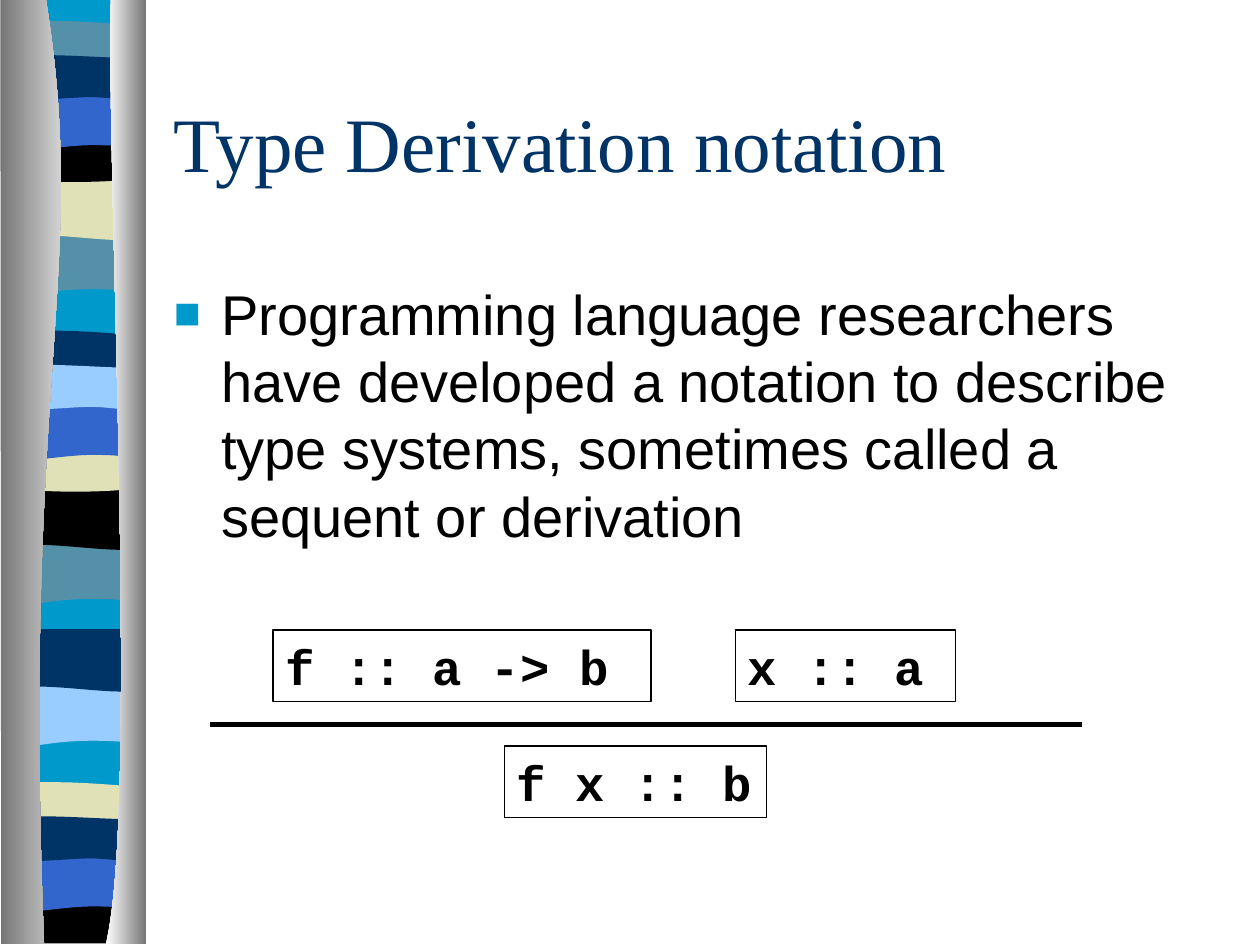
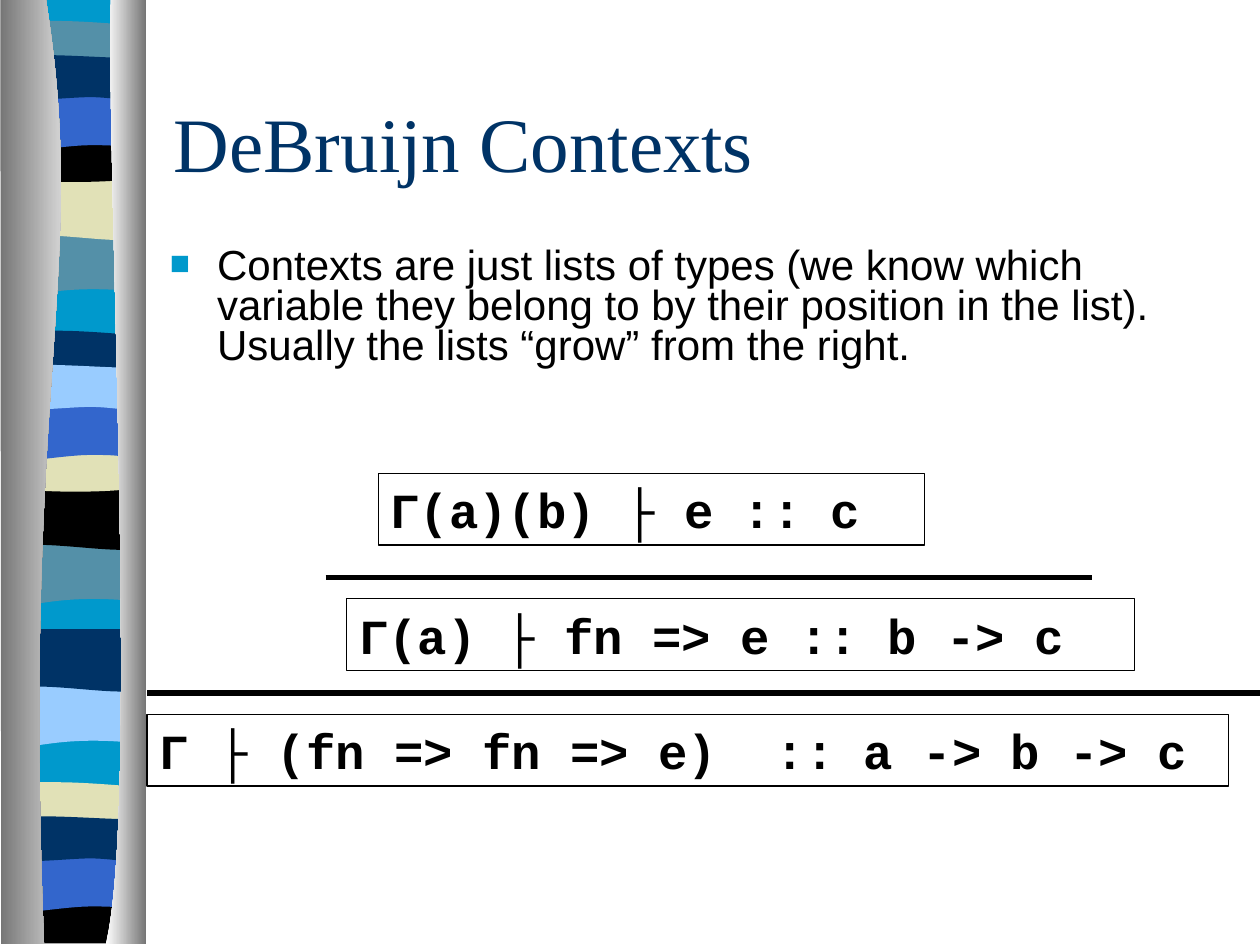
import dataclasses

import lxml.etree
import pptx
import pptx.dml.color
import pptx.enum.shapes
import pptx.enum.text
import pptx.oxml.ns
import pptx.util

Pt = pptx.util.Pt
qn = pptx.oxml.ns.qn


@dataclasses.dataclass(frozen=True)
class Theme:
    cyan: str = "0099CC"
    teal: str = "5490A8"
    sand: str = "E1E1B7"
    black: str = "000000"
    blue: str = "3366CC"
    navy: str = "003366"
    sky: str = "99CCFF"
    shade: str = "767676"
    white: str = "FFFFFF"
    title_font: str = "Times New Roman"
    body_font: str = "Arial"
    code_font: str = "Courier New"
    title_size: float = 44
    code_size: float = 28
    rule_weight: float = 3
    box_weight: float = 0.75


THEME = Theme()
SLIDE_WIDTH, SLIDE_HEIGHT = 720, 540
RIBBON_LEFT, RIBBON_TOP, RIBBON_WIDTH = 4.2, -0.5, 78
FORMULA_HEIGHT = 41
RULE_TO_CONCLUSION = 12.24

# Outlines start at the top right corner of a stripe.
# Two numbers make a line to a point, six make a cubic curve.
STRIPE_OUTLINES = {
    "swoop": [(78, 34), (24, 28, 13, 40, 0, 34), (0, 0)],
    "roll": [(78, 34), (65, 39.5, 24, 29.5, 0, 34), (0, 0)],
    "thin": [(78, 17), (65, 20, 13, 20, 0, 17), (0, 0),
             (4, -3.5, 17, -3, 30, -3), (43, -3, 68, -1, 78, 0)],
    "hollow": [(78, 23.5), (65, 27.5, 13, 27.5, 0, 23.5), (0, 0),
               (48, 3.6, 61, 0, 78, 0)],
    "foot": [(78, 26.5), (0, 26.5), (0, 0), (48, 3.6, 61, 0, 78, 0)],
    "arch": [(78, 34), (66, 30, 60.5, 30, 47.5, 30),
             (34.5, 30, 11.5, 34, 0, 34), (0, 0)],
    "crest": [(78, 22.5), (73, 26, 60.5, 22.5, 47.5, 22.5),
              (34.5, 22.5, 8, 26, 0, 22.5), (0, 0),
              (11, -3.5, 52.5, 0, 65.5, 0), (78.5, 0, 75, 0, 78, 0)],
}
STRIPE_TOPS = {"swoop": 133.5, "roll": 102, "thin": 15.5, "hollow": 78,
               "foot": 78, "arch": 53.5, "crest": 33.5}
# The stripe pattern repeats at these heights with other colours.
RIBBON_SECTIONS = [
    (0, {"swoop": THEME.teal, "roll": THEME.sand, "thin": THEME.teal,
         "hollow": THEME.black, "arch": THEME.blue, "crest": THEME.navy}),
    (177, {"swoop": THEME.teal, "roll": THEME.black, "thin": THEME.navy,
           "hollow": THEME.sand, "arch": THEME.blue, "crest": THEME.sky}),
    (258, {"swoop": THEME.sky, "roll": THEME.navy}),
    (435, {"thin": THEME.sand, "foot": THEME.black, "arch": THEME.blue,
           "crest": THEME.navy}),
]
LEFT_COLUMN = [(51, 156, 12, 213, 25, 540), (0.5, 540), (0, 0)]
RIGHT_COLUMN = [(-3, 90, 16.5, 465, -3, 540), (20, 540), (20, 0)]


def rgb(colour):
    return pptx.dml.color.RGBColor.from_string(colour)


def set_attributes(target, values):
    for name, value in values.items():
        setattr(target, name, value)


def bend_lines(shape, steps):
    """Join the three lines drawn for each six-number step into a curve."""
    lines = iter(list(shape._element.iter(qn("a:lnTo"))))
    for step in steps:
        line = next(lines)
        if len(step) == 2:
            continue
        curve = lxml.etree.Element(qn("a:cubicBezTo"))
        line.addprevious(curve)
        for control in (line, next(lines), next(lines)):
            curve.append(control[0])
            control.getparent().remove(control)


def add_outline(slide, left, top, start, steps):
    points = [start]
    for step in steps:
        points.extend(zip(step[::2], step[1::2]))
    points = [(Pt(left + x), Pt(top + y)) for x, y in points]
    builder = slide.shapes.build_freeform(*points[0])
    builder.add_line_segments(points[1:], close=True)
    shape = builder.convert_to_shape()
    bend_lines(shape, steps)
    shape.shadow.inherit = False
    shape.line.fill.background()
    return shape


def fill_solid(shape, colour):
    shape.fill.solid()
    shape.fill.fore_color.rgb = rgb(colour)


def fill_across(shape, colours):
    """Fill with a gradient running from left to right."""
    shape.fill.gradient()
    shape.fill.gradient_angle = 0
    for stop, colour in zip(shape.fill.gradient_stops, colours):
        stop.color.rgb = rgb(colour)


def add_ribbon(slide, left, top):
    base = add_outline(slide, left, top, (RIBBON_WIDTH, 0),
                       [(RIBBON_WIDTH, 538.5), (0, 538.5), (0, 0)])
    fill_solid(base, THEME.cyan)
    for section_top, colours in RIBBON_SECTIONS:
        for name, colour in colours.items():
            stripe = add_outline(
                slide, left, top + section_top + STRIPE_TOPS[name],
                (RIBBON_WIDTH, 0), STRIPE_OUTLINES[name])
            fill_solid(stripe, colour)
    left_column = add_outline(slide, left - 4, top, (26, 0), LEFT_COLUMN)
    fill_across(left_column, (THEME.shade, THEME.white))
    right_column = add_outline(slide, left + 59.2, top, (0, 0), RIGHT_COLUMN)
    fill_across(right_column, (THEME.white, THEME.shade))


def move_shapes_to_layout(slide):
    """Make the shapes on the slide the background of its layout."""
    layout = slide.slide_layout
    for placeholder in list(layout.placeholders):
        layout.shapes._spTree.remove(placeholder._element)
    for shape in list(slide.shapes):
        layout.shapes._spTree.append(shape._element)


def write_text(shape, text, anchor, font, size, colour, bold=False):
    set_attributes(shape.text_frame, {
        "word_wrap": True, "vertical_anchor": anchor,
        "margin_left": Pt(7.2), "margin_right": Pt(7.2),
        "margin_top": Pt(3.6), "margin_bottom": Pt(3.6)})
    paragraph = shape.text_frame.paragraphs[0]
    paragraph.alignment = pptx.enum.text.PP_ALIGN.LEFT
    run = paragraph.add_run()
    run.text = text
    set_attributes(run.font, {"name": font, "size": Pt(size), "bold": bold})
    run.font.color.rgb = rgb(colour)
    return paragraph


def add_title(slide, left, top, width, height, text):
    shape = slide.shapes.add_textbox(Pt(left), Pt(top), Pt(width), Pt(height))
    write_text(shape, text, pptx.enum.text.MSO_ANCHOR.MIDDLE,
               THEME.title_font, THEME.title_size, THEME.navy)


def add_square_bullet(paragraph):
    properties = paragraph._p.get_or_add_pPr()
    properties.set("marL", str(Pt(27)))
    properties.set("indent", str(Pt(-27)))

    def add_element(parent, tag, **attributes):
        return lxml.etree.SubElement(parent, qn(tag), attributes)

    bullet_colour = add_element(properties, "a:buClr")
    add_element(bullet_colour, "a:srgbClr", val=THEME.cyan)
    add_element(properties, "a:buSzPct", val="80000")
    add_element(properties, "a:buFont", typeface=THEME.body_font)
    add_element(properties, "a:buChar", char="■")


def add_body(slide, left, top, width, height, text, size, line_spacing=1.0):
    shape = slide.shapes.add_textbox(Pt(left), Pt(top), Pt(width), Pt(height))
    paragraph = write_text(shape, text, pptx.enum.text.MSO_ANCHOR.TOP,
                           THEME.body_font, size, THEME.black)
    add_square_bullet(paragraph)
    paragraph.line_spacing = line_spacing


def add_formula(slide, left, top, width, text):
    shape = slide.shapes.add_shape(
        pptx.enum.shapes.MSO_SHAPE.RECTANGLE,
        Pt(left), Pt(top), Pt(width), Pt(FORMULA_HEIGHT))
    shape.shadow.inherit = False
    shape.fill.background()
    shape.line.color.rgb = rgb(THEME.black)
    shape.line.width = Pt(THEME.box_weight)
    write_text(shape, text, pptx.enum.text.MSO_ANCHOR.TOP, THEME.code_font,
               THEME.code_size, THEME.black, bold=True)


def add_inference(slide, left, top, width, indent, formula_width, conclusion):
    """Draw the inference rule with its conclusion below it."""
    rule = slide.shapes.add_connector(
        pptx.enum.shapes.MSO_CONNECTOR.STRAIGHT,
        Pt(left), Pt(top), Pt(left + width), Pt(top))
    rule.line.color.rgb = rgb(THEME.black)
    rule.line.width = Pt(THEME.rule_weight)
    lxml.etree.SubElement(rule._element.spPr, qn("a:effectLst"))
    add_formula(slide, left + indent, top + RULE_TO_CONCLUSION,
                formula_width, conclusion)


def add_application_rule(slide, left, top):
    add_formula(slide, left + 36, top, 216, "f :: a -> b")
    add_formula(slide, left + 300, top, 126, "x :: a")
    add_inference(slide, left, top + 54, 498, 168, 150, "f x :: b")


def add_context_derivation(slide, left, top):
    add_formula(slide, left + 132, top, 312, "Γ(a)(b) ├ e :: c")
    add_inference(slide, left + 102, top + 59.5, 438, 12, 450,
                  "Γ(a) ├ fn => e :: b -> c")
    add_inference(slide, left, top + 125.5, 636, 0, 618,
                  "Γ ├ (fn => fn => e)  :: a -> b -> c")


def main():
    presentation = pptx.Presentation()
    presentation.slide_width = Pt(SLIDE_WIDTH)
    presentation.slide_height = Pt(SLIDE_HEIGHT)
    blank_layout = presentation.slide_layouts[6]

    notation = presentation.slides.add_slide(blank_layout)
    add_ribbon(notation, RIBBON_LEFT, RIBBON_TOP)
    move_shapes_to_layout(notation)
    contexts = presentation.slides.add_slide(blank_layout)
    for slide, title in ((notation, "Type Derivation notation"),
                         (contexts, "DeBruijn Contexts")):
        add_title(slide, 92.3, 36, 612, 90, title)

    add_body(notation, 92.3, 156.2, 612, 168,
             "Programming language researchers have developed a notation to "
             "describe type systems, sometimes called a sequent or derivation",
             size=32)
    add_application_rule(notation, 120.1, 360)

    add_body(contexts, 90, 138.2, 612, 78,
             "Contexts are just lists of types (we know which variable they "
             "belong to by their position in the list). Usually the lists "
             "“grow” from the right.",
             size=24, line_spacing=0.8)
    add_context_derivation(contexts, 84.1, 270.5)

    presentation.save("out.pptx")


if __name__ == "__main__":
    main()
